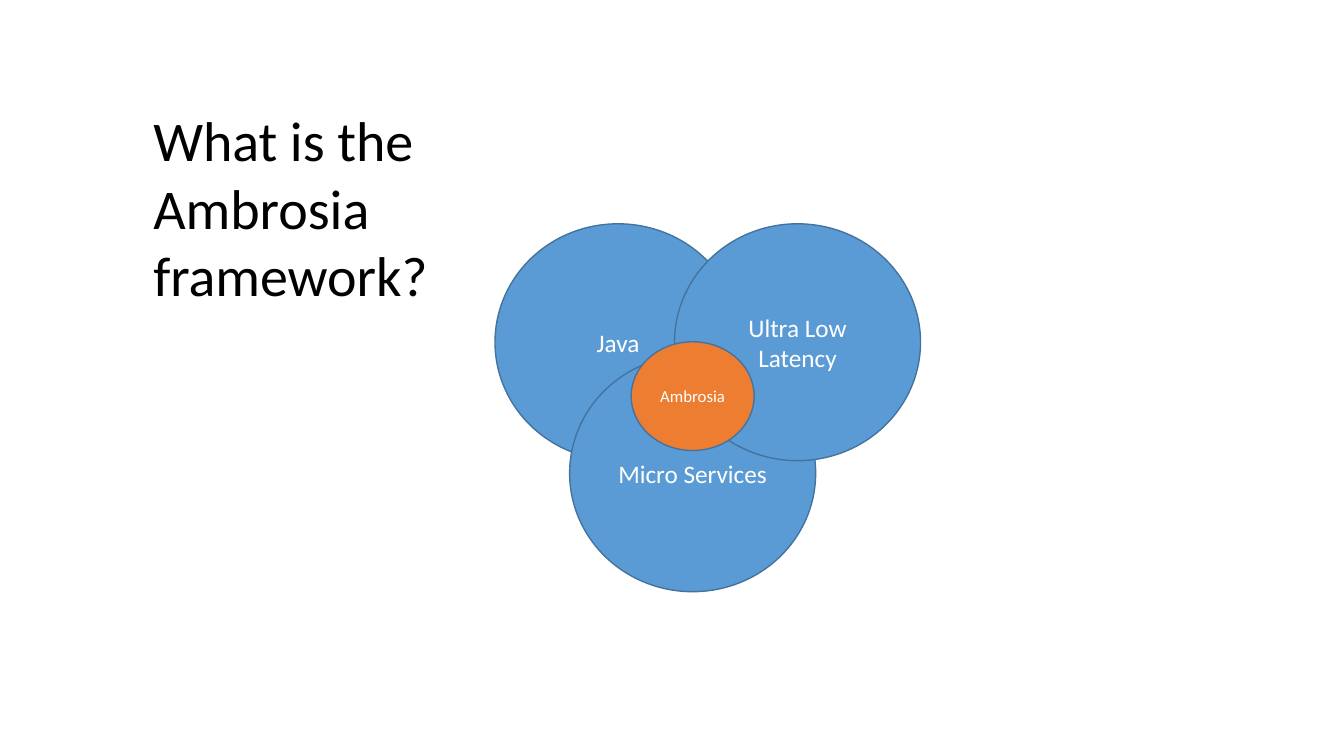
from dataclasses import dataclass

from pptx import Presentation
from pptx import util as u
from pptx.dml.color import RGBColor
from pptx.enum import shapes, text


@dataclass(frozen=True)
class Theme:
    font: str = "Calibri"
    title_color: str = "000000"
    label_color: str = "FFFFFF"
    circle_fill: str = "5B9BD5"
    center_fill: str = "ED7D31"
    outline: str = "43739E"
    title_size: int = 40
    label_size: int = 18
    center_size: int = 12


THEME = Theme()

CIRCLE_SIZE = (2.44, 2.35)
CENTER_SIZE = (1.22, 1.08)

# Back to front: label, left, top
CIRCLES = [
    ("Java", 4.91, 2.22),
    ("Micro Services", 5.65, 3.52),
    ("Ultra Low Latency", 6.69, 2.22),
]


def set_attributes(target, values):
    for name, value in values.items():
        setattr(target, name, value)


def write_text(shape, wording, size, color, alignment, anchor):
    frame = shape.text_frame
    frame.text = wording
    set_attributes(frame, {
        "word_wrap": True,
        "auto_size": text.MSO_AUTO_SIZE.NONE,
        "vertical_anchor": anchor,
    })
    paragraph = frame.paragraphs[0]
    paragraph.alignment = alignment
    font = paragraph.runs[0].font
    set_attributes(font, {"name": THEME.font, "size": u.Pt(size), "bold": False})
    font.color.rgb = RGBColor.from_string(color)


def add_title(slide, wording, left, top, width, height):
    title = slide.shapes.title
    set_attributes(title, {
        "left": u.Inches(left),
        "top": u.Inches(top),
        "width": u.Inches(width),
        "height": u.Inches(height),
    })
    write_text(title, wording, THEME.title_size, THEME.title_color,
               text.PP_ALIGN.LEFT, text.MSO_ANCHOR.TOP)


def add_ellipse(slide, label, left, top, size, fill, label_size):
    width, height = size
    ellipse = slide.shapes.add_shape(
        shapes.MSO_SHAPE.OVAL,
        u.Inches(left), u.Inches(top), u.Inches(width), u.Inches(height))
    ellipse.shadow.inherit = False
    ellipse.fill.solid()
    ellipse.fill.fore_color.rgb = RGBColor.from_string(fill)
    ellipse.line.color.rgb = RGBColor.from_string(THEME.outline)
    ellipse.line.width = u.Pt(1)
    write_text(ellipse, label, label_size, THEME.label_color,
               text.PP_ALIGN.CENTER, text.MSO_ANCHOR.MIDDLE)


def main():
    presentation = Presentation()
    presentation.slide_width = u.Inches(13.33)
    presentation.slide_height = u.Inches(7.5)
    slide = presentation.slides.add_slide(presentation.slide_layouts[5])

    # Title
    add_title(slide, "What is the Ambrosia framework?", 1.42, 1, 3.22, 2.12)

    # Overlapping circles
    for label, left, top in CIRCLES:
        add_ellipse(slide, label, left, top, CIRCLE_SIZE,
                    THEME.circle_fill, THEME.label_size)

    # Framework at the overlap
    add_ellipse(slide, "Ambrosia", 6.26, 3.39, CENTER_SIZE,
                THEME.center_fill, THEME.center_size)

    presentation.save("out.pptx")


if __name__ == "__main__":
    main()
